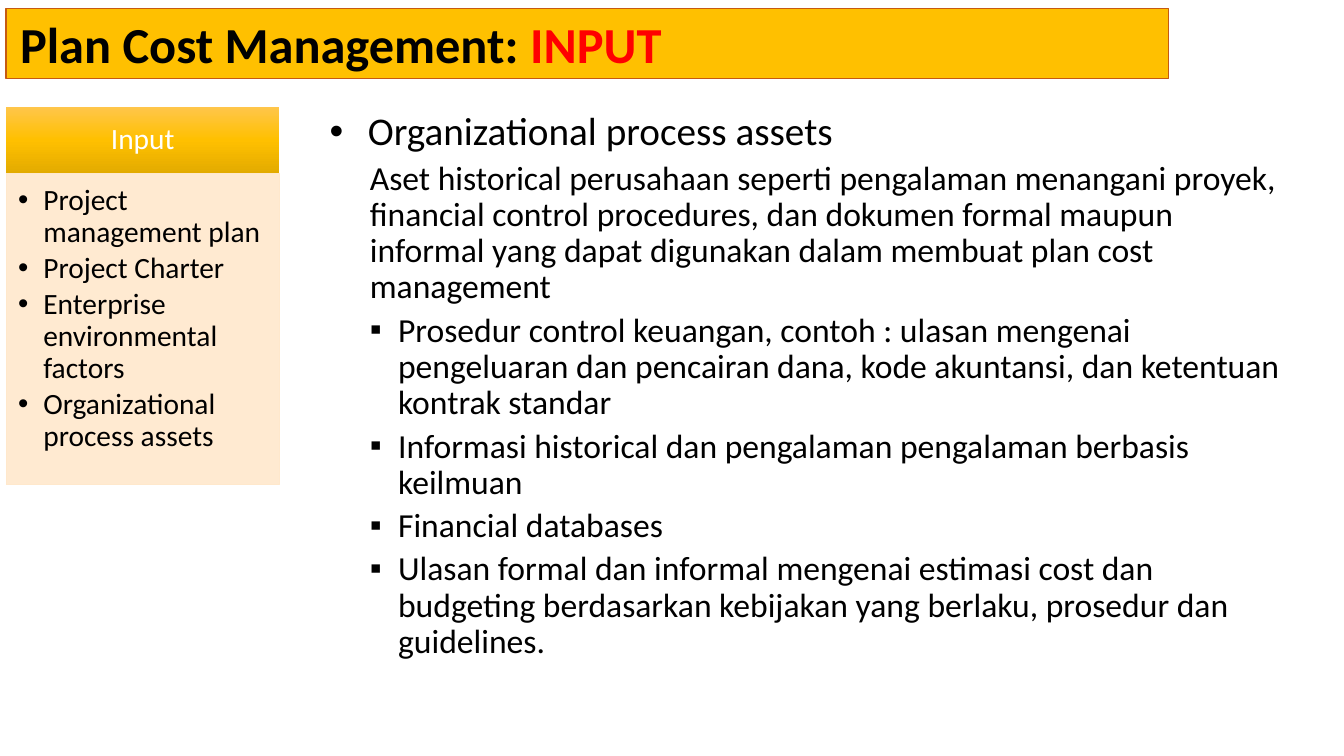
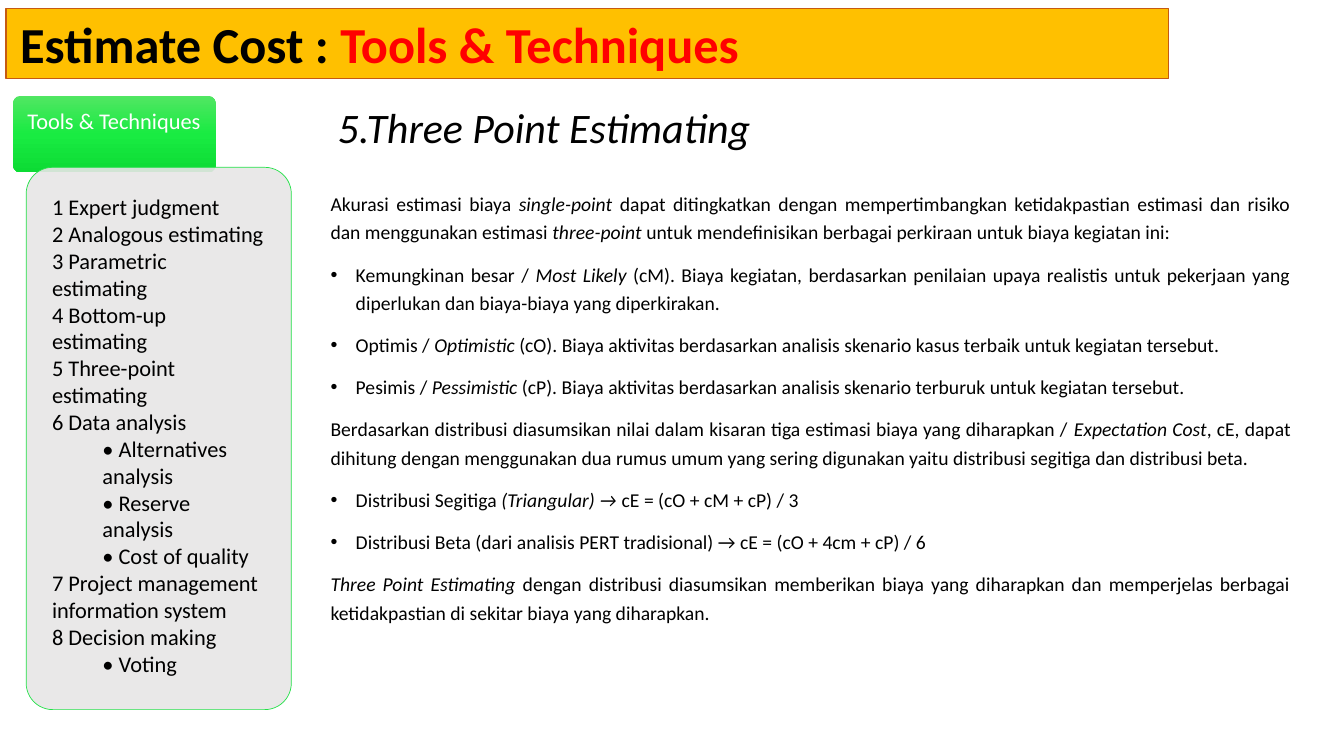
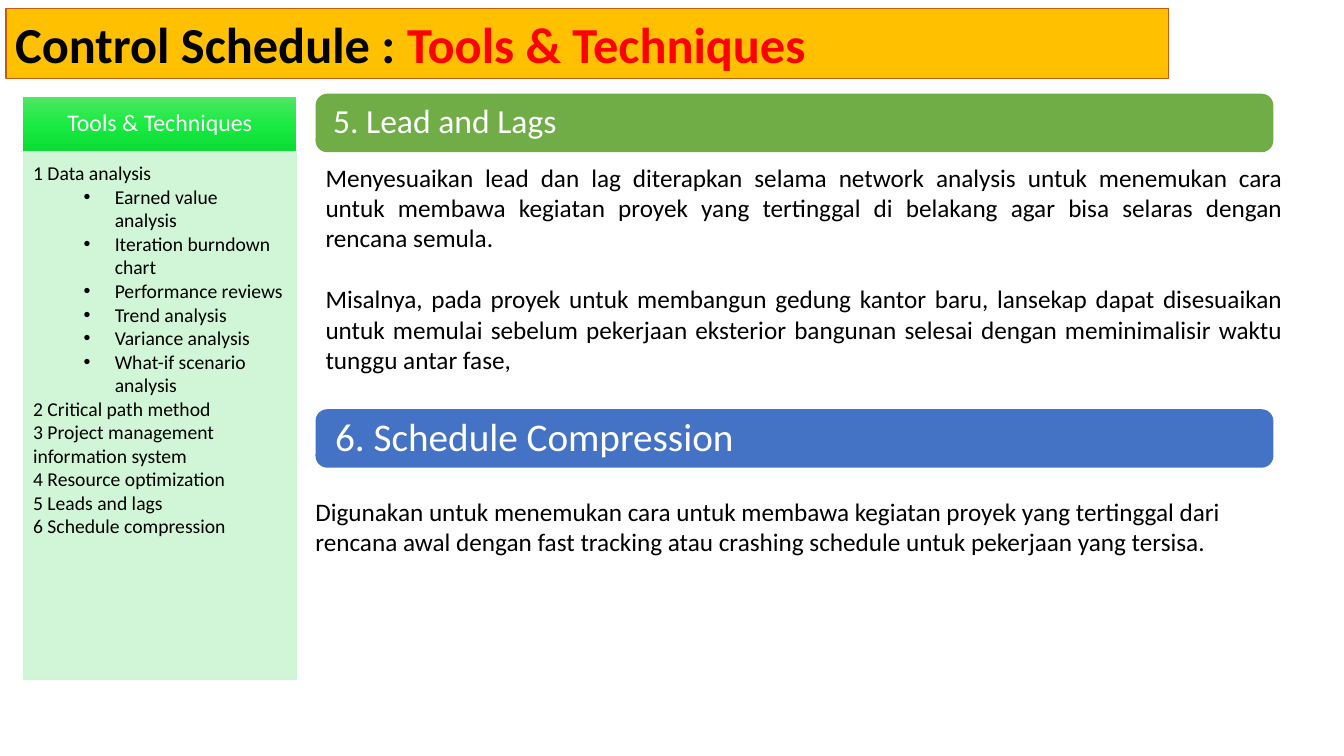
from copy import deepcopy
from dataclasses import dataclass
from functools import partial

from lxml import etree
from pptx import Presentation
from pptx.dml.color import RGBColor
from pptx.enum import shapes, text
from pptx.oxml.ns import qn
from pptx.util import Inches, Pt

COLORS = {
    "black": "000000", "white": "FFFFFF", "red": "FF0000",
    "title": "FFC000", "title_line": "C55A11",
    "peach": "FFE8CC", "gray": "E7E6E6", "mint": "CCF6D3",
    "green_line": "23E148", "leaf": "70AD47", "blue": "4472C4",
}
GOLD_BLEND = ("FFC64B", "FFC000", "E3AB00")
GREEN_BLEND = ("51E663", "19EB42", "0CDB34")
FONT = "Calibri"
RECT = shapes.MSO_SHAPE.RECTANGLE
ROUNDED = shapes.MSO_SHAPE.ROUNDED_RECTANGLE
LEFT, CENTER, JUSTIFY = (text.PP_ALIGN.LEFT, text.PP_ALIGN.CENTER, text.PP_ALIGN.JUSTIFY)
TOP, MIDDLE = text.MSO_ANCHOR.TOP, text.MSO_ANCHOR.MIDDLE


@dataclass
class Para:
    """One paragraph; stars in its content switch italics on and off."""
    content: str
    size: float
    color: str = "black"
    align: text.PP_ALIGN = LEFT
    left: float = 0
    hang: float = 0
    bullet: str = ""
    before: float = 0
    after: float = 0
    line: float = 1.0


class Deck:
    def __init__(self):
        self.prs = Presentation()
        self.prs.slide_width, self.prs.slide_height = Inches(13.33), Inches(7.5)
        self.slide = None

    def rgb(self, name):
        return RGBColor.from_string(COLORS.get(name, name))

    def new_slide(self, topic, part, inset=0.14):
        self.slide = self.prs.slides.add_slide(self.prs.slide_layouts[6])
        bar = self.box((0.06, 0.08, 11.53, 0.7), "title", line=("title_line", 0.75))
        self.put_text(bar, [Para(topic, 36)], (inset, 0.05, 0.09, 0.05))
        paragraph = bar.text_frame.paragraphs[0]
        paragraph.add_run().text = part
        for run, color in zip(paragraph.runs, ("black", "red")):
            self.style(run, 36, color, bold=True)

    def box(self, at, fill, line=None, radius=0, opacity=100):
        shape = self.slide.shapes.add_shape(ROUNDED if radius else RECT, *map(Inches, at))
        shape.shadow.inherit = False
        if radius:
            shape.adjustments[0] = radius
        if isinstance(fill, tuple):
            self.blend(shape, fill)
        else:
            shape.fill.solid()
            shape.fill.fore_color.rgb = self.rgb(fill)
        if opacity < 100:
            color = next(shape._element.spPr.iter(qn("a:srgbClr")))
            etree.SubElement(color, qn("a:alpha"), val=str(opacity * 1000))
        if line:
            shape.line.color.rgb = self.rgb(line[0])
            shape.line.width = Pt(line[1])
        else:
            shape.line.fill.background()
        return shape

    def blend(self, shape, colors):
        """Fill from top to bottom with three evenly spaced colours."""
        shape.fill.gradient()
        shape.fill.gradient_angle = 270
        stop_list = next(shape._element.spPr.iter(qn("a:gsLst")))
        stop_list.insert(1, deepcopy(stop_list[0]))
        for stop, color, position in zip(shape.fill.gradient_stops, colors, (0, 0.5, 1)):
            stop.color.rgb = self.rgb(color)
            stop.position = position

    def panel(self, at, fill, paras, insets, anchor=TOP, **look):
        self.put_text(self.box(at, fill, **look), paras, insets, anchor)

    def textbox(self, at, paras, anchor=TOP):
        self.put_text(self.slide.shapes.add_textbox(*map(Inches, at)), paras, anchor=anchor)

    def put_text(self, shape, paras, insets=(0.1, 0.05, 0.1, 0.05), anchor=TOP):
        frame = shape.text_frame
        frame.word_wrap = True
        frame.vertical_anchor = anchor
        (frame.margin_left, frame.margin_top,
         frame.margin_right, frame.margin_bottom) = map(Inches, insets)
        for index, para in enumerate(paras):
            paragraph = frame.add_paragraph() if index else frame.paragraphs[0]
            self.lay_out(paragraph, para, para.before if index else 0)
            for part, piece in enumerate(para.content.split("*")):
                if piece:
                    run = paragraph.add_run()
                    run.text = piece
                    self.style(run, para.size, para.color, italic=part % 2 == 1)

    def lay_out(self, paragraph, para, before):
        props = paragraph._p.get_or_add_pPr()
        props.set("marL", str(Inches(para.left)))
        props.set("indent", str(Inches(-para.hang)))
        if para.bullet:
            etree.SubElement(props, qn("a:buFont"), typeface="Arial")
            etree.SubElement(props, qn("a:buChar"), char=para.bullet)
        paragraph.alignment = para.align
        paragraph.line_spacing = para.line
        paragraph.space_before, paragraph.space_after = Pt(before), Pt(para.after)

    def style(self, run, size, color, bold=False, italic=False):
        run.font.name, run.font.size = FONT, Pt(size)
        run.font.bold, run.font.italic = bold, italic
        run.font.color.rgb = self.rgb(color)


def plan_cost_input(deck):
    deck.new_slide("Plan Cost Management: ", "INPUT")
    deck.panel((0.06, 1.06, 2.71, 0.66), GOLD_BLEND,
               [Para("Input", 21, "white", CENTER, line=0.9)], (0.16, 0.09, 0.16, 0.09), MIDDLE)
    entry = partial(Para, size=21, left=0.25, hang=0.25, bullet="•", after=3.15, line=0.9)
    inputs = ["Project management plan", "Project Charter",
              "Enterprise environmental factors", "Organizational process assets"]
    deck.panel((0.06, 1.72, 2.71, 3.09), "peach", map(entry, inputs),
               (0.12, 0.12, 0.16, 0.18), line=("peach", 0.5), opacity=90)

    detail = partial(Para, size=24, before=5, line=0.9)
    asset = partial(detail, left=0.75, hang=0.28, bullet="▪")
    deck.textbox((3.1, 1.06, 9.71, 6.08), [
        Para("Organizational process assets", 28, align=JUSTIFY,
             left=0.45, hang=0.38, bullet="•", line=0.9),
        detail("Aset historical perusahaan seperti pengalaman menangani proyek, financial "
               "control procedures, dan dokumen formal maupun informal yang dapat digunakan "
               "dalam membuat plan cost management", left=0.47),
        asset("Prosedur control keuangan, contoh : ulasan mengenai pengeluaran dan pencairan "
              "dana, kode akuntansi, dan ketentuan kontrak standar"),
        asset("Informasi historical dan pengalaman pengalaman berbasis keilmuan"),
        asset("Financial databases"),
        asset("Ulasan formal dan informal mengenai estimasi cost dan budgeting berdasarkan "
              "kebijakan yang berlaku, prosedur dan guidelines."),
    ])


def three_point_estimating(deck):
    deck.new_slide("Estimate Cost : ", "Tools & Techniques")
    body = partial(Para, size=14, align=JUSTIFY, before=10, line=1.2)
    point = partial(body, left=0.25, hang=0.25, bullet="•")
    deck.textbox((3.18, 1.81, 9.72, 3.23), [
        body("Akurasi estimasi biaya *single-point *dapat ditingkatkan dengan mempertimbangkan "
             "ketidakpastian estimasi dan risiko dan menggunakan estimasi *three-point *untuk "
             "mendefinisikan berbagai perkiraan untuk biaya kegiatan ini:"),
        point("Kemungkinan besar / *Most Likely* (cM). Biaya kegiatan, berdasarkan penilaian "
              "upaya realistis untuk pekerjaan yang diperlukan dan biaya-biaya yang "
              "diperkirakan."),
        point("Optimis / *Optimistic *(cO). Biaya aktivitas berdasarkan analisis skenario "
              "kasus terbaik untuk kegiatan tersebut."),
        point("Pesimis / *Pessimistic *(cP). Biaya aktivitas berdasarkan analisis skenario "
              "terburuk untuk kegiatan tersebut."),
        body("Berdasarkan distribusi diasumsikan nilai dalam kisaran tiga estimasi biaya yang "
             "diharapkan / *Expectation Cost*, cE, dapat dihitung dengan menggunakan dua rumus "
             "umum yang sering digunakan yaitu distribusi segitiga dan distribusi beta."),
        point("Distribusi Segitiga *(Triangular) → *cE = (cO + cM + cP) / 3"),
        point("Distribusi Beta (dari analisis PERT tradisional) → cE = (cO + 4cm + cP) / 6"),
        body("*Three Point Estimating *dengan distribusi diasumsikan memberikan biaya yang "
             "diharapkan dan memperjelas berbagai ketidakpastian di sekitar biaya yang "
             "diharapkan."),
    ])
    deck.textbox((3.25, 0.78, 8.33, 0.86),
                 [Para("*5.Three Point Estimating*", 30, align=JUSTIFY, line=1.2)], MIDDLE)

    deck.panel((0.13, 0.95, 2.01, 0.76), GREEN_BLEND,
               [Para("Tools & Techniques", 16, "white", line=0.9)],
               (0.12, 0.12, 0.12, 0.32), radius=0.1)
    tool = partial(Para, size=16)
    tools = ["1 Expert judgment", "2 Analogous estimating", "3 Parametric estimating",
             "4 Bottom-up estimating", "5 Three-point estimating", "6 Data analysis",
             "• Alternatives analysis", "• Reserve analysis", "• Cost of quality",
             "7 Project management", "information system", "8 Decision making", "• Voting"]
    deck.panel((0.26, 1.66, 2.63, 5.38), "gray",
               [tool(name, left=0.5 if name.startswith("•") else 0) for name in tools],
               (0.18,) * 4, line=("green_line", 0.5), radius=0.1, opacity=90)


def leads_and_compression(deck):
    deck.new_slide("Control Schedule : ", "Tools & Techniques", inset=0.09)
    deck.panel((0.23, 0.96, 2.71, 0.54), GREEN_BLEND,
               [Para("Tools & Techniques", 17, "white", CENTER, line=0.9)],
               (0.13, 0.08, 0.13, 0.08), MIDDLE)
    tool = partial(Para, size=14)
    analysis = partial(tool, left=0.81, hang=0.31, bullet="•")
    analyses = ["Earned value analysis", "Iteration burndown chart", "Performance reviews",
                "Trend analysis", "Variance analysis", "What-if scenario analysis"]
    other_tools = ["2 Critical path method", "3 Project management", "information system",
                   "4 Resource optimization", "5 Leads and lags", "6 Schedule compression"]
    deck.panel((0.23, 1.5, 2.71, 5.24), "mint",
               [tool("1 Data analysis"), *map(analysis, analyses), *map(tool, other_tools)],
               (0.1, 0.1, 0.13, 0.15), line=("mint", 0.5), opacity=90)

    for heading, top, size, fill, inset in (("6. Schedule Compression", 4.06, 28, "blue", 0.16),
                                            ("5. Lead and Lags", 0.93, 24, "leaf", 0.14)):
        deck.panel((3.13, top, 9.5, 0.58), fill, [Para(heading, size, "white", line=0.9)],
                   (inset, 0.05, inset, 0.05), MIDDLE, radius=0.2)
    deck.textbox((3.13, 1.56, 9.69, 2.22), [
        Para("Menyesuaikan lead dan lag diterapkan selama network analysis untuk menemukan "
             "cara untuk membawa kegiatan proyek yang tertinggal di belakang agar bisa "
             "selaras dengan rencana semula.", 18, align=JUSTIFY),
        Para("Misalnya, pada proyek untuk membangun gedung kantor baru, lansekap dapat "
             "disesuaikan untuk memulai sebelum pekerjaan eksterior bangunan selesai dengan "
             "meminimalisir waktu tunggu antar fase,", 18, align=JUSTIFY, before=22),
    ])
    deck.textbox((3.03, 4.87, 9.6, 0.71), [
        Para("Digunakan untuk menemukan cara untuk membawa kegiatan proyek yang tertinggal "
             "dari rencana awal dengan fast tracking atau crashing schedule untuk pekerjaan "
             "yang tersisa.", 18),
    ])


def main():
    deck = Deck()
    plan_cost_input(deck)
    three_point_estimating(deck)
    leads_and_compression(deck)
    deck.prs.save("out.pptx")


if __name__ == "__main__":
    main()
